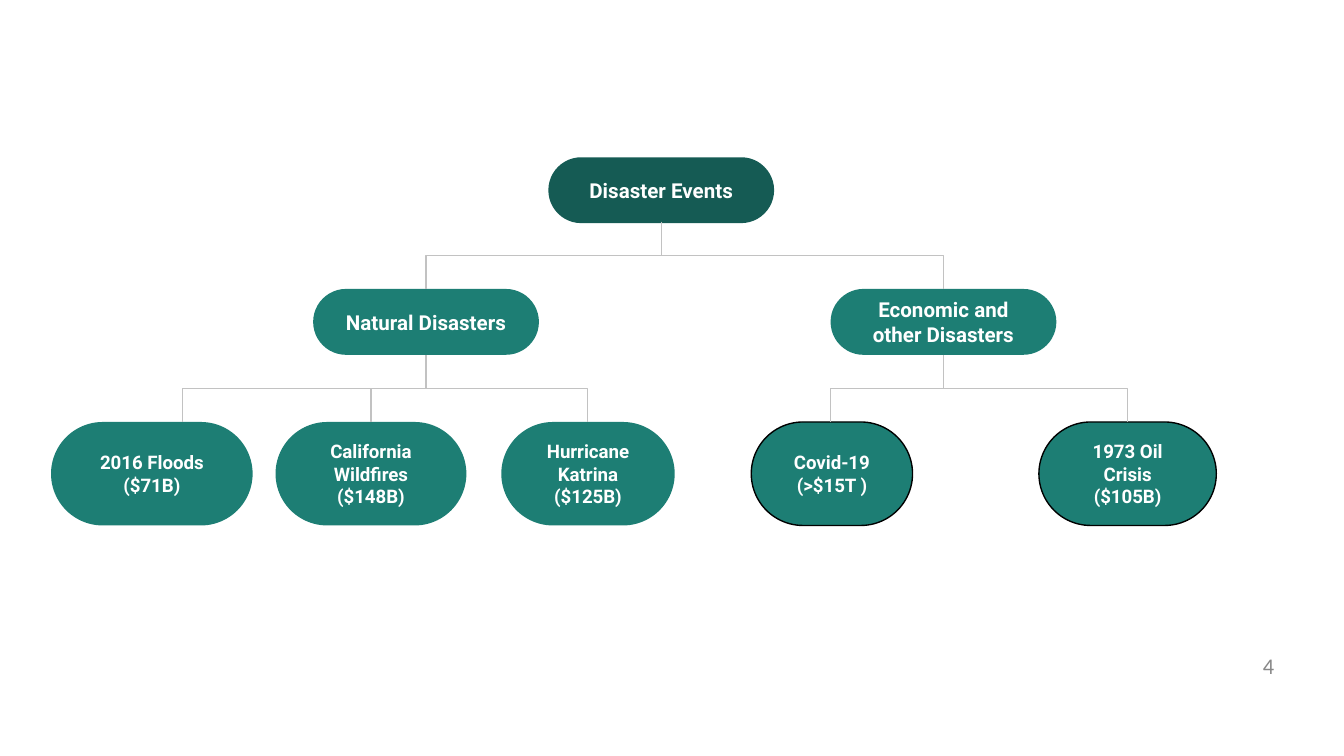
from lxml import etree
from pptx import Presentation
from pptx.dml.color import RGBColor
from pptx.enum.shapes import MSO_CONNECTOR, MSO_SHAPE
from pptx.enum.text import MSO_ANCHOR, PP_ALIGN
from pptx.oxml.ns import qn
from pptx.util import Inches, Pt

ROUNDED = MSO_SHAPE.ROUNDED_RECTANGLE
ELBOW = MSO_CONNECTOR.ELBOW
MIDDLE = MSO_ANCHOR.MIDDLE
CENTER, RIGHT = PP_ALIGN.CENTER, PP_ALIGN.RIGHT

DARK_TEAL = RGBColor(0x15, 0x5B, 0x54)
TEAL = RGBColor(0x1D, 0x7E, 0x74)
WHITE = RGBColor(0xFF, 0xFF, 0xFF)
BLACK = RGBColor(0x00, 0x00, 0x00)
LINE_GRAY = RGBColor(0xC2, 0xC2, 0xC2)
NUMBER_GRAY = RGBColor(0x88, 0x88, 0x88)

ROOT_TOP, BRANCH_TOP, LEAF_TOP = 1.17, 2.15, 3.14
BRANCH_WIDTH, BRANCH_HEIGHT, LEAF_HEIGHT = 1.68, 0.49, 0.77
LINK_HEIGHT = 0.5


def write_text(shape, text, size=11, font="Roboto", color=WHITE, bold=True,
               align=CENTER, inset=0.1):
    frame = shape.text_frame
    frame.word_wrap = True
    frame.vertical_anchor = MIDDLE
    frame.margin_left = frame.margin_right = Inches(0.1)
    frame.margin_top = frame.margin_bottom = Inches(inset)
    frame.text = text
    for para in frame.paragraphs:
        para.alignment = align
        for span in para.runs:
            span.font.name = font
            span.font.size = Pt(size)
            span.font.bold = bold
            span.font.color.rgb = color


deck = Presentation()
deck.slide_width = Inches(10)
deck.slide_height = Inches(10) * 9 // 16
page = deck.slides.add_slide(deck.slide_layouts[6])

number_box = page.shapes.add_textbox(Inches(7.25), Inches(4.8), Inches(2.33), Inches(0.3))
write_text(number_box, "4", size=12, font="Calibri", color=NUMBER_GRAY,
           bold=False, align=RIGHT, inset=0.05)

nodes = [
    ("Disaster Events", 4.08, ROOT_TOP, BRANCH_WIDTH, BRANCH_HEIGHT, 11, DARK_TEAL, None),
    ("Natural Disasters", 2.33, BRANCH_TOP, BRANCH_WIDTH, BRANCH_HEIGHT, 11, TEAL, None),
    ("Economic and other Disasters", 6.18, BRANCH_TOP, BRANCH_WIDTH, BRANCH_HEIGHT, 11, TEAL, None),
    ("2016 Floods\n($71B)", 0.38, LEAF_TOP, 1.5, LEAF_HEIGHT, 10, TEAL, None),
    ("California Wildfires\n($148B)", 2.05, LEAF_TOP, 1.42, LEAF_HEIGHT, 10, TEAL, None),
    ("Hurricane Katrina\n($125B)", 3.73, LEAF_TOP, 1.29, LEAF_HEIGHT, 10, TEAL, None),
    ("Covid-19\n(>$15T )", 5.59, LEAF_TOP, 1.2, LEAF_HEIGHT, 10, TEAL, BLACK),
    ("1973 Oil Crisis\n($105B)", 7.73, LEAF_TOP, 1.32, LEAF_HEIGHT, 10, TEAL, BLACK),
]
for text, left, top, width, height, size, fill, outline in nodes:
    node = page.shapes.add_shape(ROUNDED, Inches(left), Inches(top), Inches(width), Inches(height))
    node.adjustments[0] = 0.5
    node.shadow.inherit = False
    node.fill.solid()
    node.fill.fore_color.rgb = fill
    if outline is None:
        node.line.fill.background()
    else:
        node.line.color.rgb = outline
        node.line.width = Pt(0.75)
    write_text(node, text, size=size)

links = [
    (4.92, 1.65, [3.17, 7.02]),
    (3.17, 2.64, [1.36, 2.76, 4.37]),
    (7.02, 2.64, [6.18, 8.39]),
]
for parent_x, parent_y, child_xs in links:
    for child_x in child_xs:
        spread = abs(child_x - parent_x)
        left = (parent_x + child_x - LINK_HEIGHT) / 2
        right = left + LINK_HEIGHT
        top = parent_y + (LINK_HEIGHT - spread) / 2
        begin_x, end_x = (right, left) if child_x > parent_x else (left, right)
        link = page.shapes.add_connector(ELBOW, Inches(begin_x), Inches(top),
                                         Inches(end_x), Inches(top + spread))
        link.line.color.rgb = LINE_GRAY
        link.line.width = Pt(0.75)
        properties = link.element.spPr
        properties.find(qn("a:xfrm")).set("rot", str(270 * 60000))
        etree.SubElement(properties, qn("a:effectLst"))

deck.save("out.pptx")
